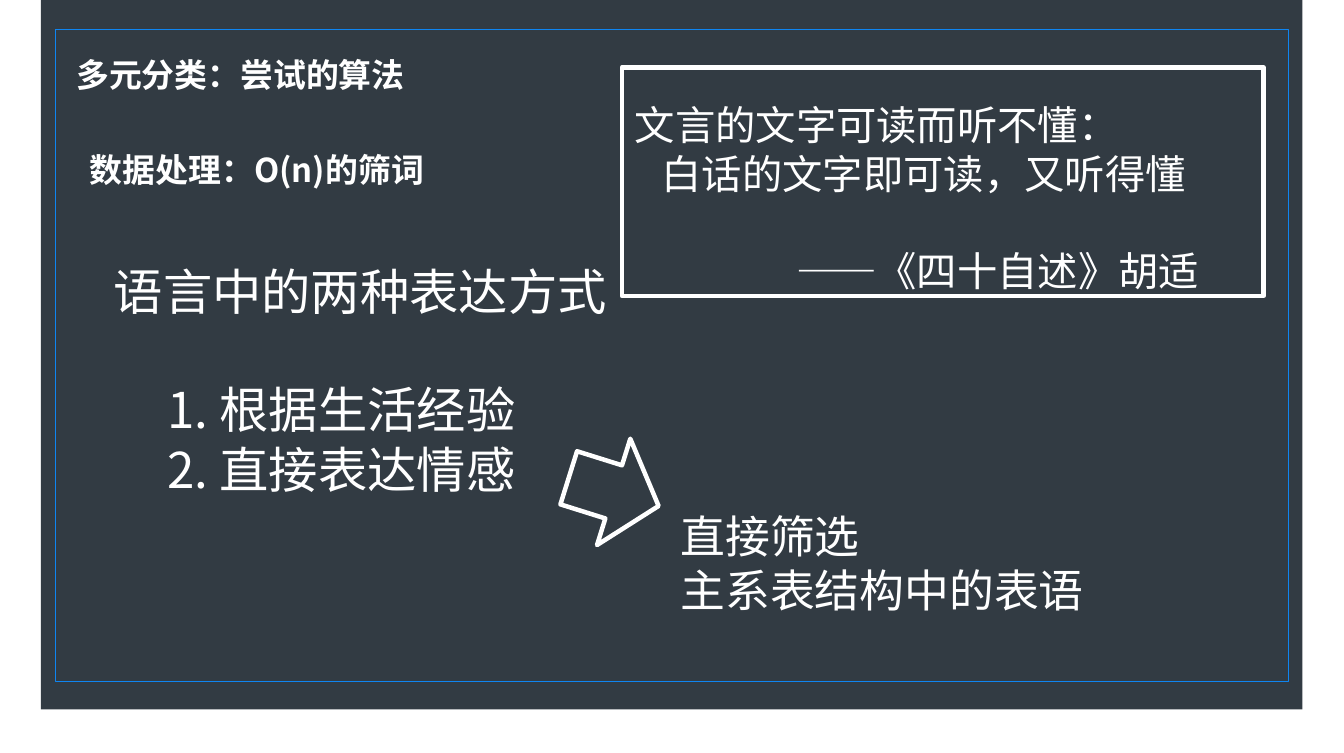
import pptx
import pptx.dml.color
import pptx.enum.shapes
import pptx.oxml.ns
import pptx.util
from lxml import etree

Cm = pptx.util.Cm
Pt = pptx.util.Pt
RGBColor = pptx.dml.color.RGBColor
Shapes = pptx.enum.shapes.MSO_SHAPE

WHITE = RGBColor(0xFF, 0xFF, 0xFF)
SLATE = RGBColor(0x32, 0x3B, 0x43)
BLUE = RGBColor(0x0F, 0x85, 0xF1)
FONT = "Noto Sans CJK SC"
TAB = 1.27


class SlideBuilder:
    """Holds the text style and the slide being filled."""

    def __init__(self, slide):
        self.slide = slide
        self.font = {"name": FONT, "bold": False}

    def outline(self, kind, box, fill=None, line=None, width=0, rotation=0):
        shape = self.slide.shapes.add_shape(kind, *map(Cm, box))
        shape.shadow.inherit = False
        shape.rotation = rotation
        if fill is None:
            shape.fill.background()
        else:
            shape.fill.solid()
            shape.fill.fore_color.rgb = fill
        if line is None:
            shape.line.fill.background()
        else:
            shape.line.color.rgb = line
            shape.line.width = Pt(width)

    def text(self, box, lines, size, pitch, bold=False):
        """Each line is (text, tab stops of indent, empty lines before)."""
        frame = self.slide.shapes.add_textbox(*map(Cm, box)).text_frame
        frame.word_wrap = True
        for index, (words, tabs, gap) in enumerate(lines):
            paragraph = frame.paragraphs[0] if index == 0 else frame.add_paragraph()
            spacing = {"line_spacing": Pt(pitch), "space_before": Pt(gap * pitch)}
            for name, value in spacing.items():
                setattr(paragraph, name, value)
            properties = paragraph._p.get_or_add_pPr()
            properties.set("marL", str(Cm(tabs * TAB)))
            properties.set("indent", "0")
            run = paragraph.add_run()
            run.text = words
            for name, value in {**self.font, "size": Pt(size), "bold": bold}.items():
                setattr(run.font, name, value)
            run.font.color.rgb = WHITE
            east_asian = etree.SubElement(run._r.get_or_add_rPr(), pptx.oxml.ns.qn("a:ea"))
            east_asian.set("typeface", FONT)


def main():
    presentation = pptx.Presentation()
    presentation.slide_width = Cm(63.5)
    presentation.slide_height = Cm(35.56)
    slide = presentation.slides.add_slide(presentation.slide_layouts[6])
    builder = SlideBuilder(slide)

    # Dark panel and thin frame
    builder.outline(Shapes.RECTANGLE, (1.93, 0, 59.61, 33.5), fill=SLATE)
    builder.outline(Shapes.RECTANGLE, (2.62, 1.4, 58.27, 30.78), line=BLUE, width=1)

    # Headings
    builder.text((3.35, 1.52, 24.08, 3.07), [("多元分类：尝试的算法", 0, 0)], 44, 79, bold=True)
    builder.text((3.99, 6, 24.08, 3.07), [("数据处理：O(n)的筛词", 0, 0)], 44, 79, bold=True)

    # Quotation
    quotation = [
        ("文言的文字可读而听不懂：", 0, 0),
        ("白话的文字即可读，又听得懂", 1, 0),
        ("——《四十自述》胡适", 6, 1),
    ]
    builder.text((29.74, 4.6, 28.22, 9.5), quotation, 54, 65)

    # Filtering result
    result = [("直接筛选", 0, 0), ("主系表结构中的表语", 0, 0)]
    builder.text((31.9, 23.9, 24.82, 5.38), result, 60, 72)

    # Two ways of expression
    expressions = [
        ("语言中的两种表达方式", 0, 0),
        ("1. 根据生活经验", 2, 1),
        ("2. 直接表达情感", 2, 0),
    ]
    builder.text((5.13, 12.24, 24.28, 17.2), expressions, 66, 79)

    # Arrow to the result and quotation frame
    builder.outline(Shapes.RIGHT_ARROW, (26.77, 20.6, 4.45, 5.26), line=WHITE, width=6, rotation=17.4)
    builder.outline(Shapes.RECTANGLE, (29.39, 3.18, 30.3, 10.8), line=WHITE, width=6)

    presentation.save("out.pptx")


if __name__ == "__main__":
    main()
